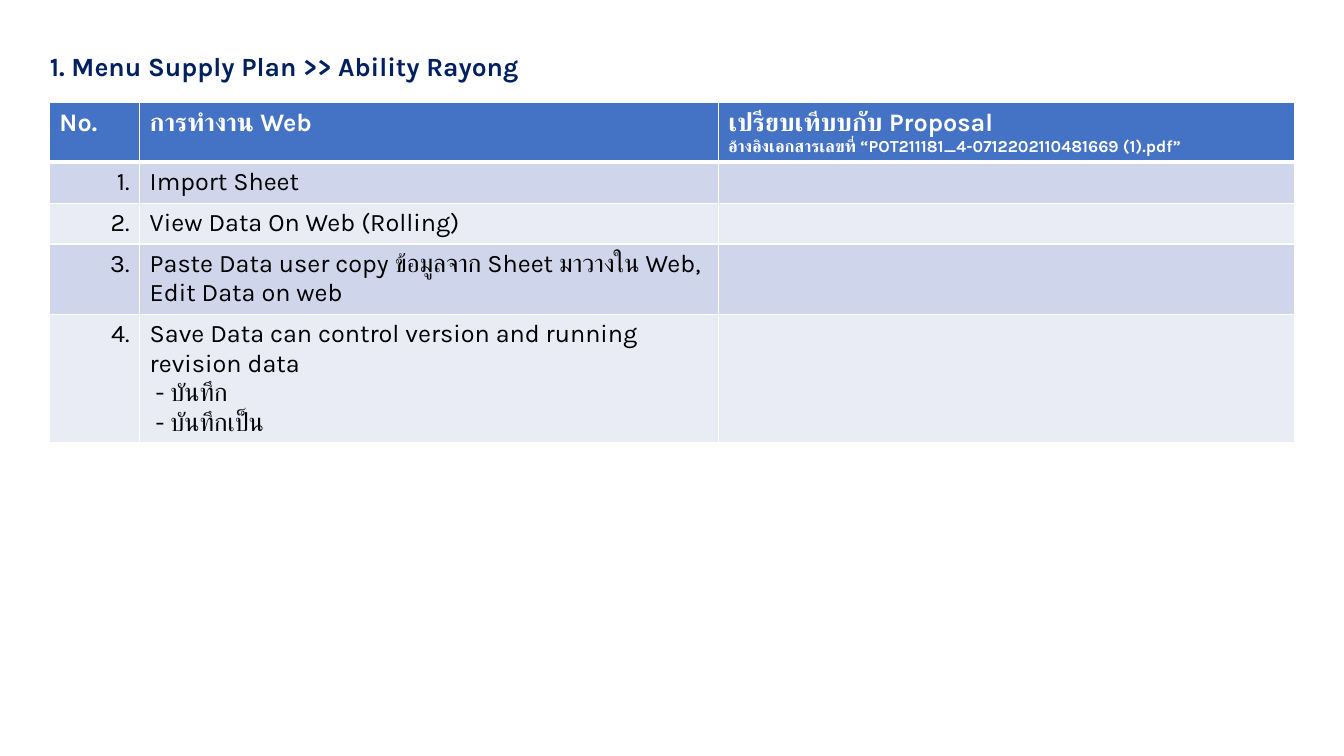
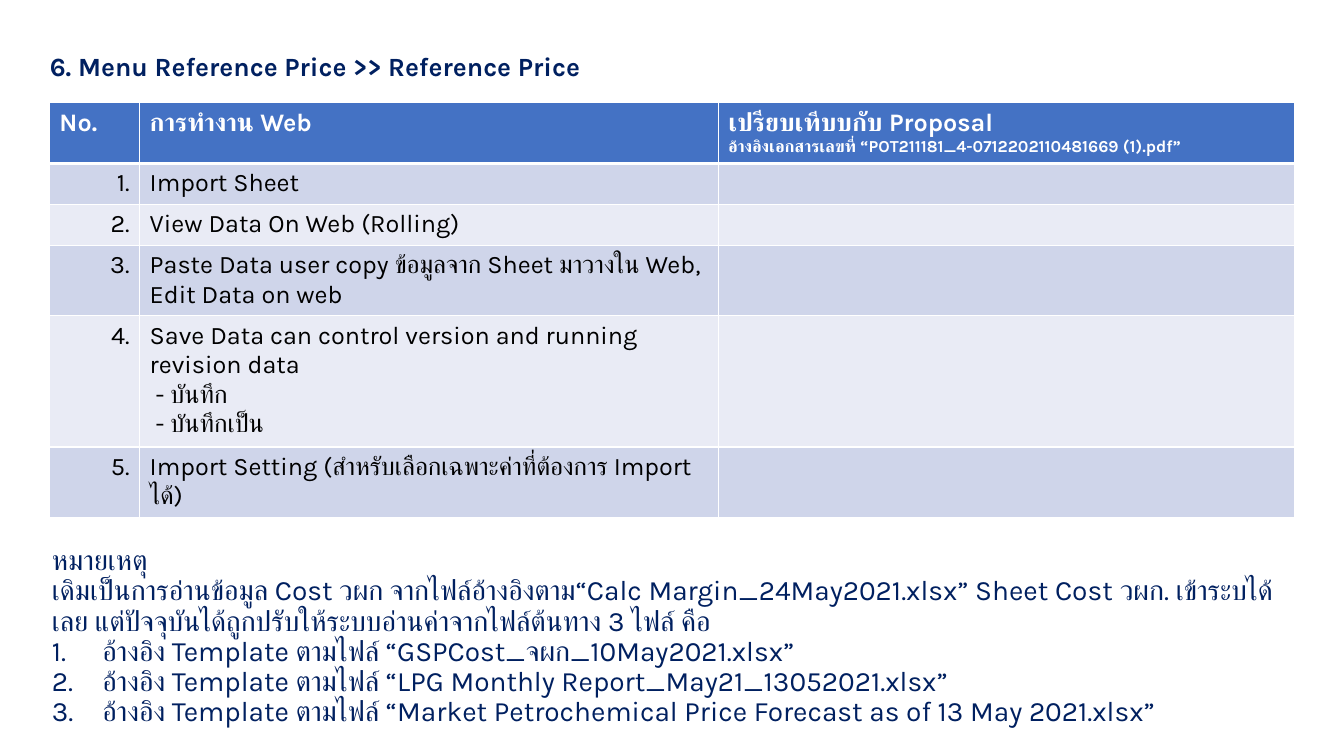
from lxml.etree import SubElement
from pptx import Presentation
from pptx.dml.color import RGBColor as RGB
from pptx.enum.text import MSO_ANCHOR as ANCHOR, PP_ALIGN as ALIGN
from pptx.oxml.ns import qn
from pptx.util import Pt

PX = 9525
FONT = "Karla"
COLORS = {
    "navy": "002060",
    "header": "4472C4",
    "odd": "CFD5EA",
    "even": "E9EBF5",
    "white": "FFFFFF",
    "black": "000000",
}
COLS = [86, 551, 549]
HEADER = [
    [("No.", 18)],
    [("การทำงาน Web", 18)],
    [("เปรียบเทีบบกับ Proposal", 18),
     ("อ้างอิงเอกสารเลขที่ “POT211181_4-0712202110481669 (1).pdf”", 12)],
]
HEADER_HEIGHT = 55
TASKS = [
    (39, ["Import Sheet"]),
    (39, ["View Data On Web (Rolling)"]),
    (67, ["Paste Data user copy ข้อมูลจาก Sheet มาวางใน Web, Edit Data on web"]),
    (122, ["Save Data can control version and running revision data",
           " - บันทึก", " - บันทึกเป็น"]),
    (66, ["Import Setting (สำหรับเลือกเฉพาะค่าที่ต้องการ Import ได้)"]),
]
NOTES = [
    "หมายเหตุ",
    "เดิมเป็นการอ่านข้อมูล Cost วผก จากไฟล์อ้างอิงตาม“Calc Margin_24May2021.xlsx” "
    "Sheet Cost วผก. เข้าระบได้เลย แต่ปัจจุบันได้ถูกปรับให้ระบบอ่านค่าจากไฟล์ต้นทาง 3 ไฟล์ คือ",
]
FILES = [
    "GSPCost_จผก_10May2021.xlsx",
    "LPG Monthly Report_May21_13052021.xlsx",
    "Market Petrochemical Price Forecast as of 13 May 2021.xlsx",
]
SLIDES = [
    ("1. Menu Supply Plan >> Ability Rayong", 4, False),
    ("6. Menu Reference Price >> Reference Price", 5, True),
]


def write(tf, lines, color, bold=False, align=ALIGN.LEFT, spacing=None):
    tf.word_wrap = True
    for i, (text, size) in enumerate(lines):
        p = tf.add_paragraph() if i else tf.paragraphs[0]
        p.alignment = align
        if spacing:
            p.line_spacing = spacing
        r = p.add_run()
        r.text = text
        r.font.size = Pt(size)
        r.font.bold = bold
        r.font.name = FONT
        r.font.color.rgb = RGB.from_string(COLORS[color])
        SubElement(r.font._element, qn("a:cs"), typeface=FONT)


def style_cell(cell, fill, top, bottom):
    tcPr = cell._tc.get_or_add_tcPr()
    for side, width in (("L", 1), ("R", 1), ("T", top), ("B", bottom)):
        ln = SubElement(tcPr, qn(f"a:ln{side}"), w=str(Pt(width)))
        SubElement(SubElement(ln, qn("a:solidFill")), qn("a:srgbClr"), val=COLORS["white"])
    cell.fill.solid()
    cell.fill.fore_color.rgb = RGB.from_string(COLORS[fill])


prs = Presentation()
prs.slide_width = 1280 * PX
prs.slide_height = 720 * PX

for title, count, has_notes in SLIDES:
    s = prs.slides.add_slide(prs.slide_layouts[6])
    tasks = TASKS[:count]
    heights = [HEADER_HEIGHT] + [height for height, _ in tasks]

    table = s.shapes.add_table(
        count + 1, len(COLS), 47 * PX, 98 * PX, sum(COLS) * PX, sum(heights) * PX
    ).table
    for col, width in zip(table.columns, COLS):
        col.width = width * PX
    for row, height in zip(table.rows, heights):
        row.height = height * PX

    for cell, lines in zip(table.rows[0].cells, HEADER):
        style_cell(cell, "header", 1, 3)
        write(cell.text_frame, lines, "white", bold=True)

    for n, (_, texts) in enumerate(tasks, 1):
        for cell in table.rows[n].cells:
            style_cell(cell, "odd" if n % 2 else "even", 3 if n == 1 else 1, 1)
        write(table.cell(n, 0).text_frame, [(f"{n}.", 18)], "black", align=ALIGN.RIGHT)
        write(table.cell(n, 1).text_frame, [(text, 18) for text in texts], "black")

    tf = s.shapes.add_textbox(38 * PX, 45 * PX, 955 * PX, 57 * PX).text_frame
    tf.vertical_anchor = ANCHOR.BOTTOM
    tf.margin_bottom = 24 * PX
    write(tf, [(title, 18.8)], "navy", bold=True)

    if has_notes:
        tf = s.shapes.add_textbox(40 * PX, 516 * PX, 1187 * PX, 182 * PX).text_frame
        tf.vertical_anchor = ANCHOR.BOTTOM
        texts = NOTES + [f"อ้างอิง Template ตามไฟล์ “{name}”" for name in FILES]
        write(tf, [(text, 20) for text in texts], "navy", spacing=0.9)
        for p in tf.paragraphs[len(NOTES):]:
            pPr = p._p.get_or_add_pPr()
            pPr.set("marL", str(48 * PX))
            pPr.set("indent", str(-48 * PX))
            SubElement(pPr, qn("a:buAutoNum"), type="arabicPeriod")

prs.save("out.pptx")
